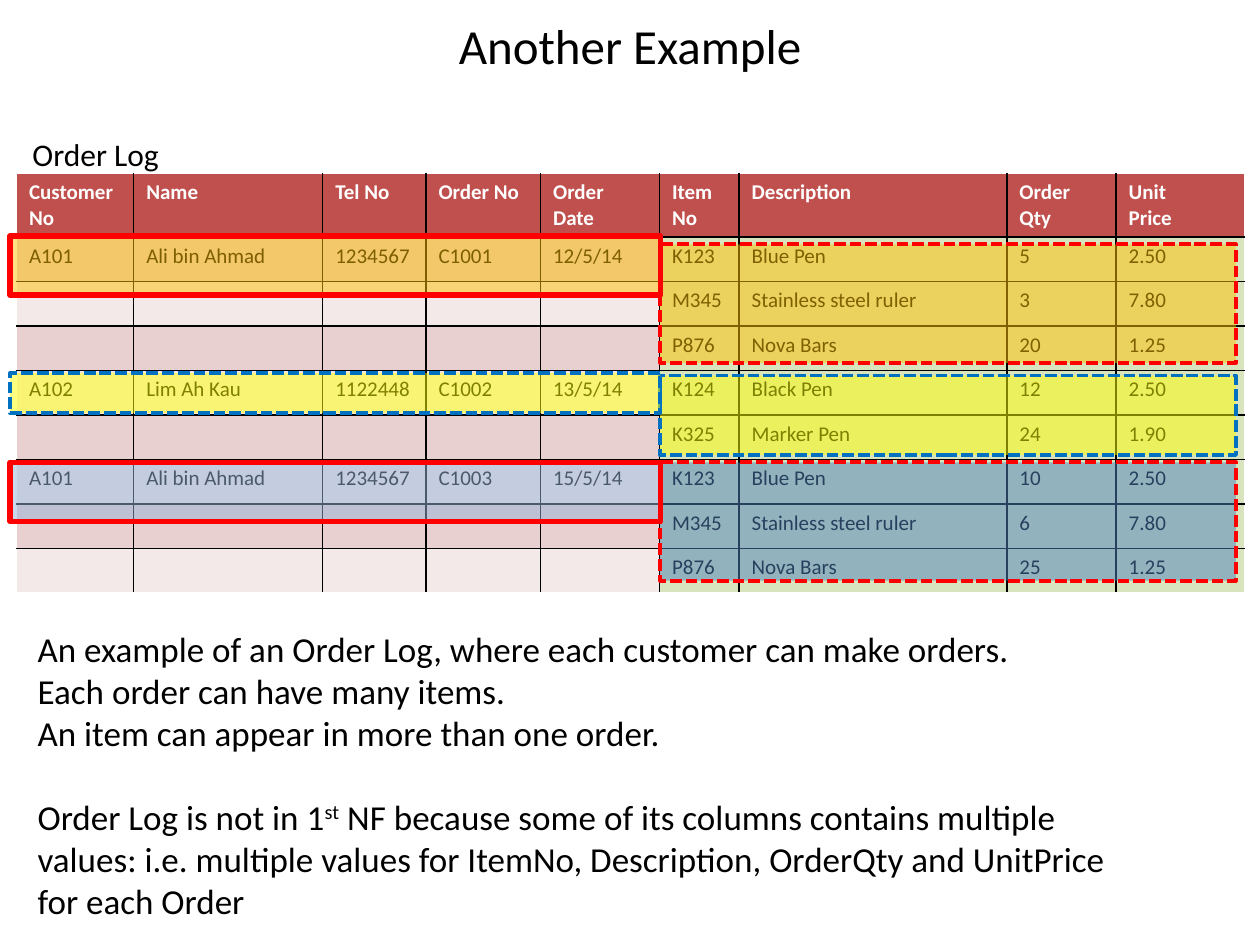
from lxml.etree import SubElement
from pptx import Presentation
from pptx.dml.color import RGBColor
from pptx.enum.dml import MSO_LINE
from pptx.enum.shapes import MSO_SHAPE
from pptx.enum.text import MSO_ANCHOR, MSO_AUTO_SIZE, PP_ALIGN
from pptx.oxml.ns import qn
from pptx.util import Pt

COLORS = {
    "black": "000000", "white": "FFFFFF", "header": "C0504D",
    "pink": "E8D0D0", "pale pink": "F4E9E9", "green": "D7E4BD",
    "red": "FF0000", "blue": "0070C0", "orange": "FFC000",
    "yellow": "FFFF00", "steel": "4F81BD", "light steel": "95B3D7",
}


def add_run(paragraph, text, size, color="black", bold=False):
    run = paragraph.add_run()
    run.text = text
    run.font.name = "Calibri"
    run.font.size = Pt(size)
    run.font.bold = bold
    run.font.color.rgb = RGBColor.from_string(COLORS[color])
    return run


def add_border(cell, side, color):
    """Draw one side (L, R, T or B) of a cell; call before filling the cell."""
    line = SubElement(cell._tc.get_or_add_tcPr(), qn(f"a:ln{side}"), w=str(Pt(1)))
    fill = SubElement(line, qn("a:solidFill"))
    SubElement(fill, qn("a:srgbClr"), val=COLORS[color])


presentation = Presentation()
presentation.slide_width, presentation.slide_height = Pt(720), Pt(540)
slide = presentation.slides.add_slide(presentation.slide_layouts[5])

# Title
title = slide.shapes.title
title.left, title.top, title.width, title.height = Pt(36), Pt(3.6), Pt(648), Pt(44)
title.text_frame.vertical_anchor = MSO_ANCHOR.MIDDLE
title.text_frame.paragraphs[0].alignment = PP_ALIGN.CENTER
add_run(title.text_frame.paragraphs[0], "Another Example", 28)

# Order table
NO_ORDER = [""] * 5
ROWS = [
    ["Customer\nNo", "Name", "Tel No", "Order No", "Order Date", "Item No",
     "Description", "Order\nQty", "Unit\nPrice"],
    ["A101", "Ali bin Ahmad", "1234567", "C1001", "12/5/14", "K123", "Blue Pen", "5", "2.50"],
    NO_ORDER + ["M345", "Stainless steel ruler", "3", "7.80"],
    NO_ORDER + ["P876", "Nova Bars", "20", "1.25"],
    ["A102", "Lim Ah Kau", "1122448", "C1002", "13/5/14", "K124", "Black Pen", "12", "2.50"],
    NO_ORDER + ["K325", "Marker Pen", "24", "1.90"],
    ["A101", "Ali bin Ahmad", "1234567", "C1003", "15/5/14", "K123", "Blue Pen", "10", "2.50"],
    NO_ORDER + ["M345", "Stainless steel ruler", "6", "7.80"],
    NO_ORDER + ["P876", "Nova Bars", "25", "1.25"],
]
COLUMN_WIDTHS = [67, 108, 59, 65.5, 68, 45.5, 153, 62.5, 73.5]
HEADER_HEIGHT, ROW_HEIGHT = 35.5, 25.4
last_row, last_column = len(ROWS) - 1, len(COLUMN_WIDTHS) - 1

table = slide.shapes.add_table(
    len(ROWS), len(COLUMN_WIDTHS), Pt(9.4), Pt(99), Pt(sum(COLUMN_WIDTHS)),
    Pt(HEADER_HEIGHT + last_row * ROW_HEIGHT)).table
for column, width in zip(table.columns, COLUMN_WIDTHS):
    column.width = Pt(width)

for r, texts in enumerate(ROWS):
    table.rows[r].height = Pt(ROW_HEIGHT if r else HEADER_HEIGHT)
    for c, text in enumerate(texts):
        cell = table.cell(r, c)
        outer_sides = {"L": c == 0, "R": c == last_column, "T": r == 0, "B": r == last_row}
        for side, is_outer in outer_sides.items():
            add_border(cell, side, "white" if is_outer else "black")
        if r == 0:
            fill = "header"
        elif c >= len(NO_ORDER):
            fill = "green"
        else:
            fill = "pink" if r % 2 else "pale pink"
        cell.fill.solid()
        cell.fill.fore_color.rgb = RGBColor.from_string(COLORS[fill])
        frame = cell.text_frame
        for i, line in enumerate(text.splitlines()):
            paragraph = frame.add_paragraph() if i else frame.paragraphs[0]
            add_run(paragraph, line, 12, "black" if r else "white", bold=r == 0)
        if not text:
            # Keeps the default 18 pt from stretching the row
            SubElement(frame.paragraphs[0]._p, qn("a:endParaRPr"), sz="1200")

# Explanation
explanation = slide.shapes.add_textbox(Pt(14.4), Pt(355), Pt(646.5), Pt(177)).text_frame
explanation.word_wrap = True
explanation.auto_size = MSO_AUTO_SIZE.SHAPE_TO_FIT_TEXT
PARAGRAPHS = [
    ["An example of an Order Log, where each customer can make orders."],
    ["Each order can have many items."],
    ["An item can appear in more than one order."],
    ["Order Log is not in 1", "st",
     " NF because some of its columns contains multiple values: i.e. multiple values for "
     "ItemNo, Description, OrderQty and UnitPrice for each Order"],
]
for i, runs in enumerate(PARAGRAPHS):
    paragraph = explanation.add_paragraph() if i else explanation.paragraphs[0]
    for text in runs:
        run = add_run(paragraph, text, 20)
        if text == "st":
            run._r.get_or_add_rPr().set("baseline", "30000")
paragraph.space_before = Pt(24)

# Table caption
caption = slide.shapes.add_textbox(Pt(11.5), Pt(73.5), Pt(88), Pt(29)).text_frame
caption.word_wrap = False
caption.auto_size = MSO_AUTO_SIZE.SHAPE_TO_FIT_TEXT
add_run(caption.paragraphs[0], "Order Log", 18)

# Highlights: the items on the right, the orders on the left
ITEMS, ORDERS = (377.3, 329), (5.8, 371.5)
HIGHLIGHTS = [
    # (left, width), top, height, fill, opacity %, line, line width, dashed
    (ITEMS, 139.7, 67.7, "orange", 50, "red", 2.25, True),
    (ITEMS, 214.6, 45.4, "yellow", 50, "blue", 2.25, True),
    (ITEMS, 264.2, 67.7, "steel", 50, "red", 2.25, True),
    (ORDERS, 134.9, 33.8, "orange", 49, "red", 3, False),
    (ORDERS, 264.2, 33.8, "light steel", 50, "red", 3, False),
    (ORDERS, 213.1, 23, "yellow", 50, "blue", 2.25, True),
]
for (left, width), top, height, fill, opacity, line, weight, dashed in HIGHLIGHTS:
    shape = slide.shapes.add_shape(
        MSO_SHAPE.RECTANGLE, Pt(left), Pt(top), Pt(width), Pt(height))
    shape.shadow.inherit = False
    shape.fill.solid()
    shape.fill.fore_color.rgb = RGBColor.from_string(COLORS[fill])
    fill_color = shape.element.spPr.find(qn("a:solidFill")).find(qn("a:srgbClr"))
    SubElement(fill_color, qn("a:alpha"), val=str(opacity * 1000))
    shape.line.color.rgb = RGBColor.from_string(COLORS[line])
    shape.line.width = Pt(weight)
    if dashed:
        shape.line.dash_style = MSO_LINE.SQUARE_DOT

presentation.save("out.pptx")
